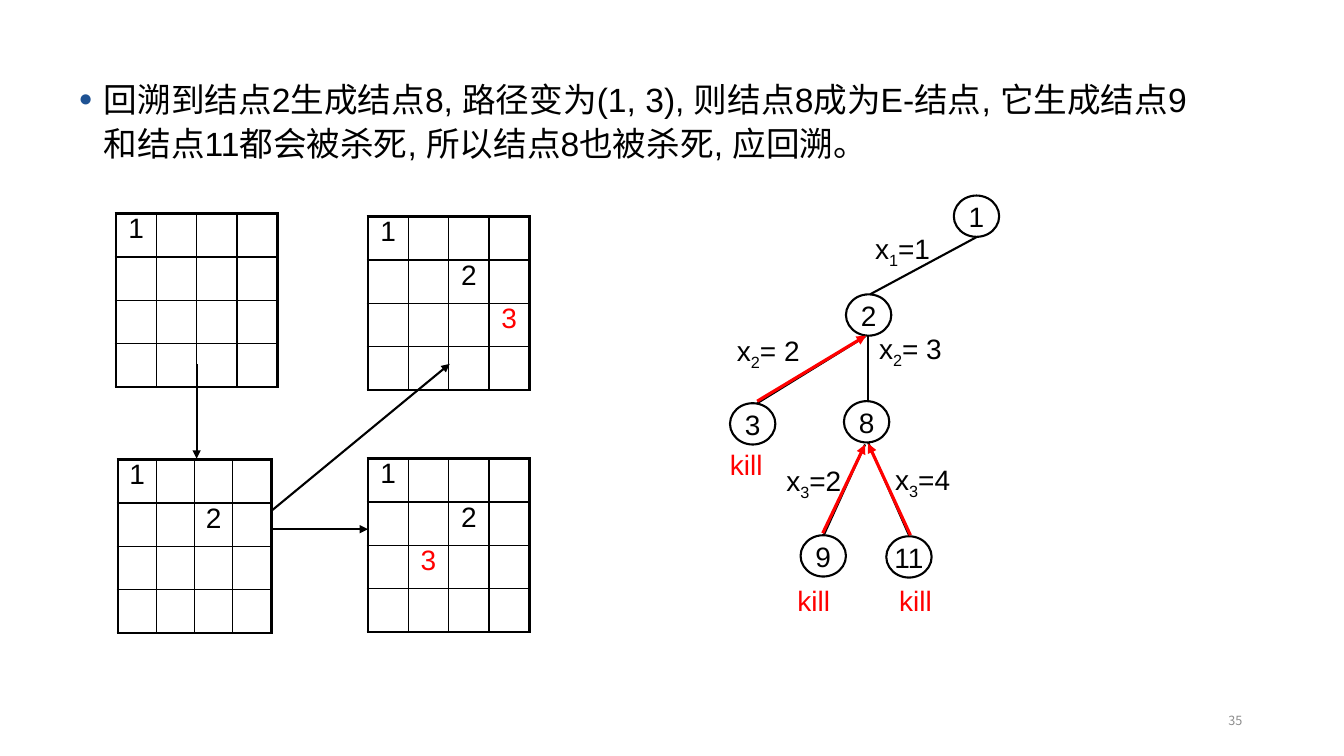
from lxml import etree
from pptx import Presentation
from pptx.dml.color import RGBColor
from pptx.enum.shapes import MSO_CONNECTOR, MSO_SHAPE
from pptx.enum.text import MSO_ANCHOR, PP_ALIGN
from pptx.oxml.ns import qn
from pptx.util import Inches, Pt

STRAIGHT = MSO_CONNECTOR.STRAIGHT
OVAL = MSO_SHAPE.OVAL
MIDDLE = MSO_ANCHOR.MIDDLE
TOP = MSO_ANCHOR.TOP
LEFT, CENTER, RIGHT = PP_ALIGN.LEFT, PP_ALIGN.CENTER, PP_ALIGN.RIGHT

BLACK = RGBColor(0x00, 0x00, 0x00)
RED = RGBColor(0xFF, 0x00, 0x00)
BLUE = RGBColor(0x1E, 0x52, 0x93)
GRAY = RGBColor(0x8C, 0x8C, 0x8C)

CJK_FONT = "Noto Sans CJK SC"
GRID_SIZE = 4
ROW_HEIGHT = 0.43

MESSAGE = ("回溯到结点2生成结点8, 路径变为(1, 3), 则结点8成为E-结点, 它生成"
           "结点9和结点11都会被杀死, 所以结点8也被杀死, 应回溯。")

BOARDS = [
    (1.15, 2.12, 0.4, {(0, 0): "1"}),
    (3.65, 2.15, 0.4, {(0, 0): "1", (1, 2): "2", (2, 3): "3"}),
    (1.17, 4.56, 0.38, {(0, 0): "1", (1, 2): "2"}),
    (3.65, 4.55, 0.4, {(0, 0): "1", (1, 2): "2", (2, 1): "3"}),
]
BOARD_ARROWS = [
    ((1.95, 3.61), (1.95, 4.55)),
    ((2.69, 5.25), (3.65, 5.25)),
    ((2.69, 5.07), (4.46, 3.61)),
]
NODES = [("1", 9.46, 1.94), ("2", 8.39, 2.92), ("3", 7.24, 4.0),
         ("8", 8.37, 3.98), ("9", 7.94, 5.31), ("11", 8.79, 5.32)]
BRANCHES = [
    ((9.69, 2.35), (8.63, 2.92)),
    ((8.58, 3.34), (7.51, 4.0)),
    ((8.61, 3.33), (8.61, 3.98)),
    ((8.58, 4.41), (8.17, 5.31)),
    ((8.61, 4.39), (9.02, 5.32)),
]
BACKTRACKS = [
    ((7.51, 3.98), (8.59, 3.33)),
    ((8.16, 5.29), (8.58, 4.41)),
    ((9.03, 5.31), (8.61, 4.4)),
]
CHOICES = [("1", "=1", 8.58, 2.25), ("2", "= 2", 7.21, 3.26),
           ("2", "= 3", 8.62, 3.24), ("3", "=2", 7.7, 4.55),
           ("3", "=4", 8.78, 4.54)]
KILLS = [(7.14, 4.46), (7.81, 5.8), (8.82, 5.8)]


def write(para, text, size=20, color=BLACK, font="Arial", align=LEFT,
          spacing=None, baseline=0):
    para.alignment = align
    if spacing:
        para.line_spacing = spacing
    span = para.add_run()
    span.text = text
    span.font.size = Pt(size)
    span.font.name = font
    span.font.color.rgb = color
    properties = span.font._element
    etree.SubElement(properties, qn("a:ea")).set("typeface", CJK_FONT)
    if baseline:
        properties.set("baseline", str(baseline * 1000))


class BacktrackSlide:
    """Draws the boards and the search tree on one slide."""

    def __init__(self, deck):
        self.page = deck.slides.add_slide(deck.slide_layouts[1])
        self.line_width = 1.5
        title = self.page.shapes.title
        title._element.getparent().remove(title._element)

    def body(self, text, left, top, width, height):
        box = self.page.placeholders[1]
        box.left, box.top = Inches(left), Inches(top)
        box.width, box.height = Inches(width), Inches(height)
        box.text_frame.vertical_anchor = TOP
        para = box.text_frame.paragraphs[0]
        para.space_before = Pt(0)
        para.line_spacing = 1.1
        properties = para._p.get_or_add_pPr()
        properties.set("marL", str(Inches(0.25)))
        properties.set("indent", str(-Inches(0.25)))
        bullet_color = etree.SubElement(properties, qn("a:buClr"))
        etree.SubElement(bullet_color, qn("a:srgbClr")).set("val", str(BLUE))
        etree.SubElement(properties, qn("a:buSzPct")).set("val", "70000")
        etree.SubElement(properties, qn("a:buFont")).set("typeface", "Arial")
        etree.SubElement(properties, qn("a:buChar")).set("char", "●")
        write(para, text, size=24)

    def text_box(self, left, top, width, height, anchor=TOP):
        box = self.page.shapes.add_textbox(
            Inches(left), Inches(top), Inches(width), Inches(height))
        box.text_frame.word_wrap = True
        box.text_frame.vertical_anchor = anchor
        return box.text_frame.paragraphs[0]

    def choice(self, index, value, left, top):
        para = self.text_box(left, top, 0.95, 0.4)
        write(para, "x")
        write(para, index, baseline=-25)
        write(para, value)

    def node(self, label, left, top):
        oval = self.page.shapes.add_shape(
            OVAL, Inches(left), Inches(top), Inches(0.45), Inches(0.41))
        oval.shadow.inherit = False
        oval.fill.background()
        oval.line.color.rgb = BLACK
        oval.line.width = Pt(self.line_width)
        oval.text_frame.word_wrap = False
        oval.text_frame.vertical_anchor = MIDDLE
        write(oval.text_frame.paragraphs[0], label, align=CENTER)

    def line(self, start, end, color=BLACK, width=None, arrow=False):
        connector = self.page.shapes.add_connector(
            STRAIGHT, *(Inches(value) for value in start + end))
        connector.line.color.rgb = color
        connector.line.width = Pt(width or self.line_width)
        if arrow:
            outline = connector.line._get_or_add_ln()
            etree.SubElement(outline, qn("a:tailEnd")).set("type", "triangle")
        etree.SubElement(connector._element.spPr, qn("a:effectLst"))

    def border(self, cell, side, width):
        edge = etree.SubElement(cell._tc.get_or_add_tcPr(), qn(f"a:ln{side}"))
        edge.set("w", str(Pt(width)))
        fill = etree.SubElement(edge, qn("a:solidFill"))
        etree.SubElement(fill, qn("a:srgbClr")).set("val", str(BLACK))

    def board(self, left, top, column_width, queens):
        table = self.page.shapes.add_table(
            GRID_SIZE, GRID_SIZE, Inches(left), Inches(top),
            Inches(column_width * GRID_SIZE),
            Inches(ROW_HEIGHT * GRID_SIZE)).table
        table.first_row = table.horz_banding = False
        for column in table.columns:
            column.width = Inches(column_width)
        last = GRID_SIZE - 1
        for row in range(GRID_SIZE):
            table.rows[row].height = Inches(ROW_HEIGHT)
            for column in range(GRID_SIZE):
                cell = table.cell(row, column)
                outer = {"L": column == 0, "R": column == last,
                         "T": row == 0, "B": row == last}
                for side, is_outer in outer.items():
                    self.border(cell, side, 2.25 if is_outer else 1)
                cell.fill.background()
                queen = queens.get((row, column))
                if queen:
                    write(cell.text_frame.paragraphs[0], queen, align=CENTER,
                          spacing=0.8, color=RED if queen == "3" else BLACK)


def main():
    deck = Presentation()
    deck.slide_width, deck.slide_height = Inches(13.33), Inches(7.5)
    slide = BacktrackSlide(deck)
    slide.body(MESSAGE, 0.68, 0.69, 11.42, 0.99)
    for board in BOARDS:
        slide.board(*board)
    for start, end in BOARD_ARROWS:
        slide.line(start, end, arrow=True)
    for node in NODES:
        slide.node(*node)
    for start, end in BRANCHES:
        slide.line(start, end)
    for start, end in BACKTRACKS:
        slide.line(start, end, color=RED, width=2.25, arrow=True)
    for choice in CHOICES:
        slide.choice(*choice)
    for left, top in KILLS:
        write(slide.text_box(left, top, 0.66, 0.37), "kill", color=RED,
              spacing=0.8)
    write(slide.text_box(9.42, 6.95, 3, 0.4, anchor=MIDDLE), "35", size=9,
          color=GRAY, font=CJK_FONT, align=RIGHT)
    deck.save("out.pptx")


if __name__ == "__main__":
    main()
